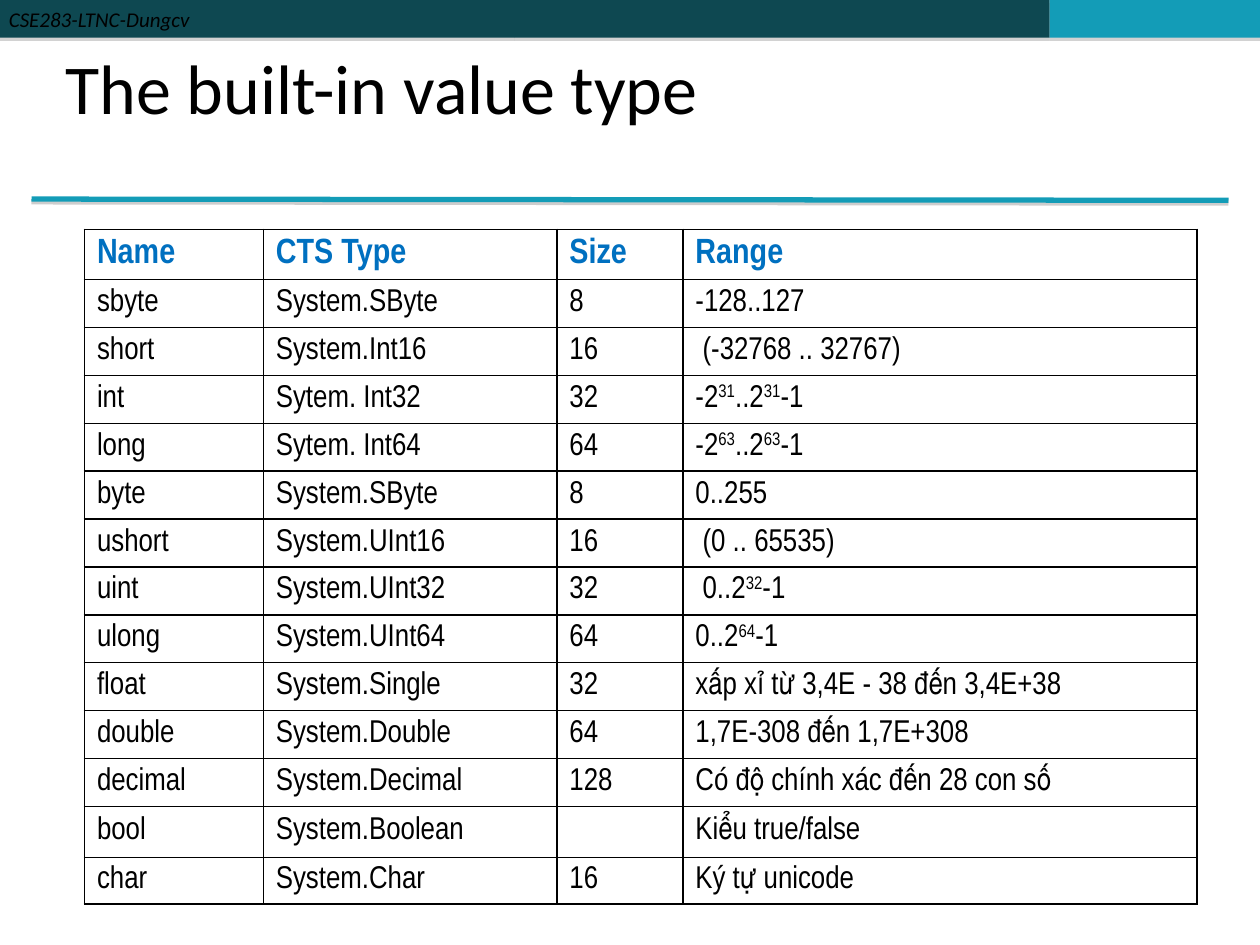
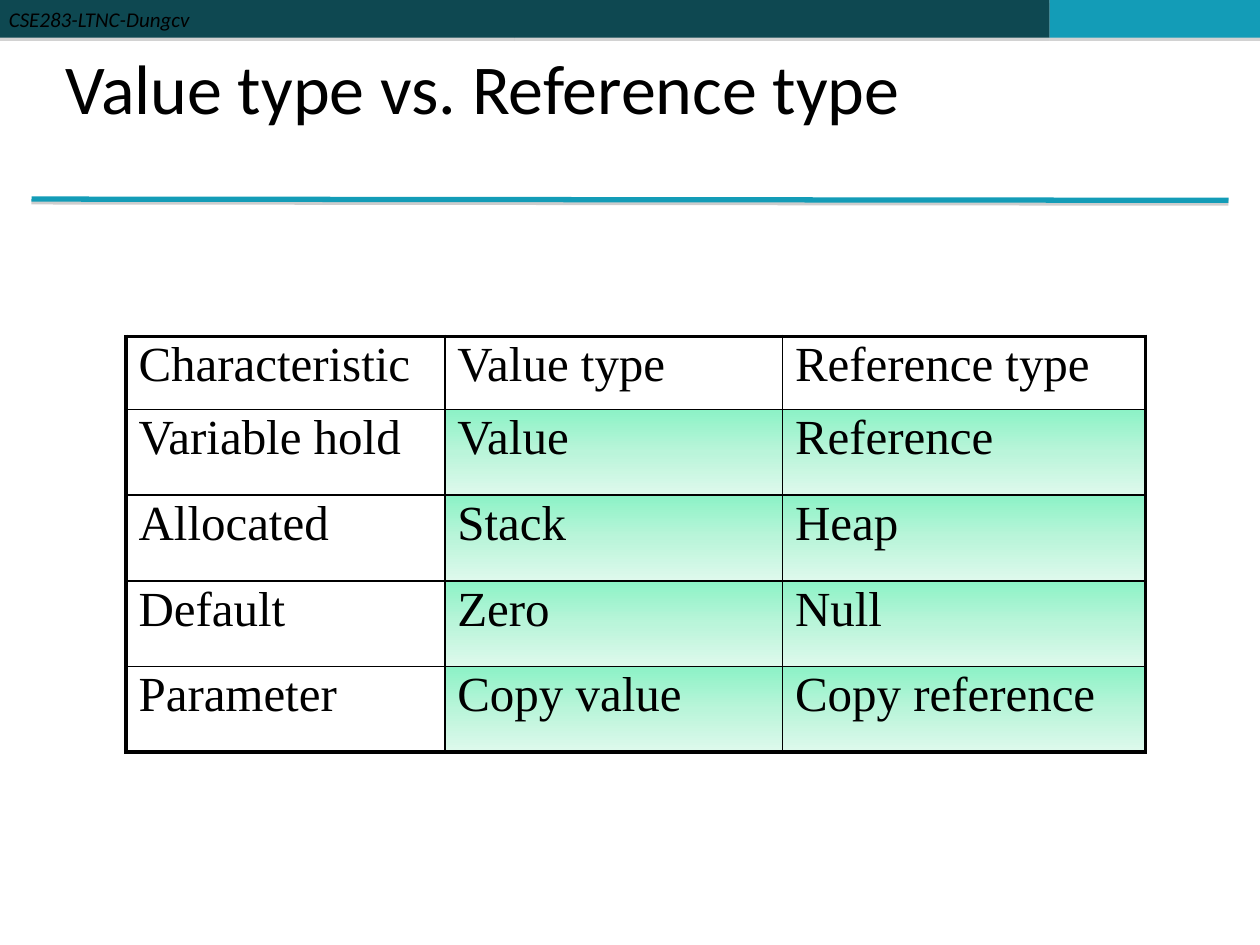
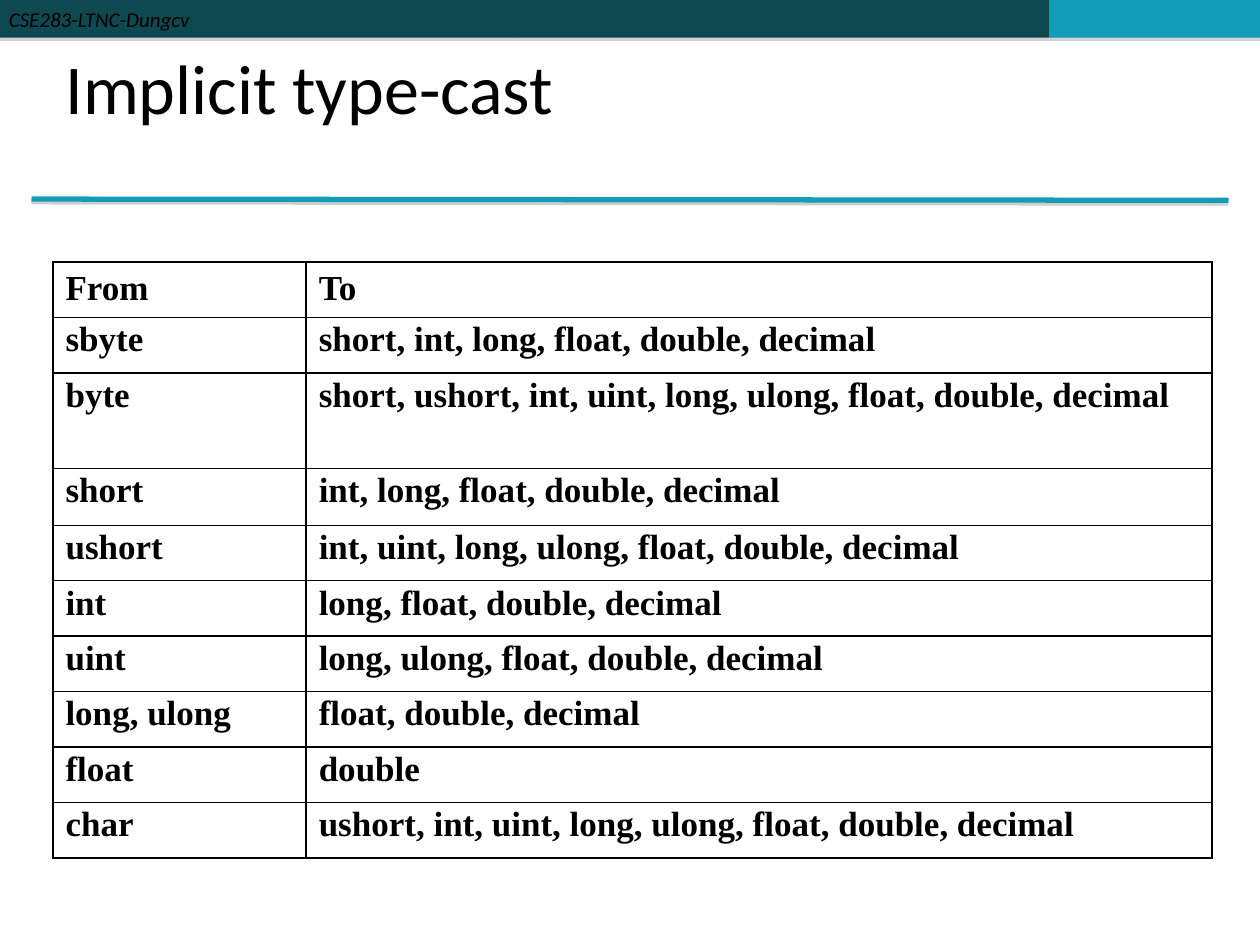
from pptx import Presentation
from pptx.dml.color import RGBColor
from pptx.enum.shapes import MSO_CONNECTOR, MSO_SHAPE
from pptx.enum.text import MSO_ANCHOR, MSO_AUTO_SIZE, PP_ALIGN
from pptx.oxml import parse_xml
from pptx.oxml.ns import nsdecls
from pptx.util import Inches, Pt

BLACK = RGBColor(0x00, 0x00, 0x00)
DARK_TEAL = RGBColor(0x0E, 0x48, 0x51)
TEAL = RGBColor(0x13, 0x9C, 0xB7)
GREY = RGBColor(0x80, 0x80, 0x80)
BLUE = RGBColor(0x00, 0x70, 0xC0)
GREENS = [(0, RGBColor(0x8C, 0xF2, 0xC6)), (50, RGBColor(0xBA, 0xF5, 0xDA)),
          (100, RGBColor(0xDE, 0xF9, 0xEC))]

COURSE = "CSE283-LTNC-Dungcv"
BANDS = [(4.08, DARK_TEAL, COURSE), (4.25, DARK_TEAL, ""), (1.67, TEAL, "")]
BAND_HEIGHT = 0.3

VALUE_TYPES = [
    ("Name", "CTS Type", "Size", "Range"),
    ("sbyte", "System.SByte", "8", "-128..127"),
    ("short", "System.Int16", "16", " (-32768 .. 32767)"),
    ("int", "Sytem. Int32", "32", "-2^31^..2^31^-1"),
    ("long", "Sytem. Int64", "64", "-2^63^..2^63^-1"),
    ("byte", "System.SByte", "8", "0..255"),
    ("ushort", "System.UInt16", "16", " (0 .. 65535)"),
    ("uint", "System.UInt32", "32", " 0..2^32^-1"),
    ("ulong", "System.UInt64", "64", "0..2^64^-1"),
    ("float", "System.Single", "32", "xấp xỉ từ 3,4E - 38 đến 3,4E+38"),
    ("double", "System.Double", "64", "1,7E-308 đến 1,7E+308"),
    ("decimal", "System.Decimal", "128", "Có độ chính xác đến 28 con số"),
    ("bool", "System.Boolean", "", "Kiểu true/false"),
    ("char", "System.Char", "16", "Ký tự unicode"),
]
COMPARISON = [
    ("Characteristic", "Value type", "Reference type"),
    ("Variable hold", "Value", "Reference"),
    ("Allocated", "Stack", "Heap"),
    ("Default", "Zero", "Null"),
    ("Parameter", "Copy value", "Copy reference"),
]
CASTS = [
    ("From", "To"),
    ("sbyte", "short, int, long, float, double, decimal"),
    ("byte", "short, ushort, int, uint, long, ulong, float, double, decimal"),
    ("short", "int, long, float, double, decimal"),
    ("ushort", "int, uint, long, ulong, float, double, decimal"),
    ("int", "long, float, double, decimal"),
    ("uint", "long, ulong, float, double, decimal"),
    ("long, ulong", "float, double, decimal"),
    ("float", "double"),
    ("char", "ushort, int, uint, long, ulong, float, double, decimal"),
]

SLIDES = [
    dict(title="The built-in value type", rows=VALUE_TYPES, at=(0.67, 1.82),
         widths=[1.42, 2.33, 1, 4.08], heights=[0.4] + [0.38] * 12 + [0.37],
         font="Arial Narrow", size=18, header=dict(size=20, color=BLUE, bold=True),
         anchor=MSO_ANCHOR.MIDDLE),
    dict(title="Value type vs. Reference type", rows=COMPARISON, at=(1, 2.67),
         widths=[2.53, 2.68, 2.88], heights=[0.58] + [0.68] * 4,
         font="Times New Roman", size=28, outer=2.25, shaded=True),
    dict(title="Implicit type-cast", rows=CASTS, at=(0.42, 2.08),
         widths=[2.01, 7.19], heights=[0.44] * 2 + [0.76, 0.45] + [0.44] * 6,
         font="Times New Roman", size=20, bold=True, hanging=0.51, before=0,
         header=dict(anchor=MSO_ANCHOR.MIDDLE)),
]


def set_shadow(sp, alpha, dist):
    sp._element.spPr.append(parse_xml(
        f'<a:effectLst {nsdecls("a")}><a:outerShdw blurRad="0" dist="{Pt(dist)}" dir="5400000" '
        f'rotWithShape="0"><a:srgbClr val="{GREY}"><a:alpha val="{alpha * 1000}"/>'
        '</a:srgbClr></a:outerShdw></a:effectLst>'))


def add_run(p, text, font, size, color=BLACK, bold=False, italic=False):
    r = p.add_run()
    r.text = text
    r.font.name, r.font.size = font, Pt(size)
    r.font.bold, r.font.italic = bold, italic
    r.font.color.rgb = color
    return r


def add_bands(slide):
    left = 0
    for width, color, text in BANDS:
        sp = slide.shapes.add_shape(MSO_SHAPE.RECTANGLE, Inches(left), 0,
                                    Inches(width), Inches(BAND_HEIGHT))
        sp.fill.solid()
        sp.fill.fore_color.rgb = color
        sp.line.fill.background()
        set_shadow(sp, 35, 1.8)
        if text:
            tf = sp.text_frame
            tf.margin_left = tf.margin_right = Inches(0.07)
            tf.margin_top = tf.margin_bottom = Inches(0.04)
            tf.vertical_anchor = MSO_ANCHOR.MIDDLE
            p = tf.paragraphs[0]
            p.alignment = PP_ALIGN.LEFT
            add_run(p, text, "Calibri", 12, italic=True)
        left += width
    rule = slide.shapes.add_connector(MSO_CONNECTOR.STRAIGHT, Inches(0.25), Inches(1.58),
                                      Inches(9.75), Inches(1.59))
    rule.line.color.rgb = TEAL
    rule.line.width = Pt(3)
    set_shadow(rule, 38, 1.6)


def move_to_layout(slide, layout):
    for ph in list(layout.placeholders)[1:]:
        layout.shapes.element.remove(ph.element)
    for sp in list(slide.shapes):
        if not sp.is_placeholder:
            layout.shapes.element.append(sp.element)


def add_title(slide, text):
    sp = slide.shapes.title
    sp.left, sp.top, sp.width, sp.height = map(Inches, (0.42, 0.25, 9.17, 0.82))
    tf = sp.text_frame
    tf.word_wrap = True
    tf.auto_size = MSO_AUTO_SIZE.NONE
    tf.vertical_anchor = MSO_ANCHOR.BOTTOM
    p = tf.paragraphs[0]
    p.alignment = PP_ALIGN.LEFT
    add_run(p, text, "Calibri", 40)


def set_borders(cell, widths):
    tcPr = cell._tc.get_or_add_tcPr()
    for i, (side, width) in enumerate(zip("LRTB", widths)):
        tcPr.insert(i, parse_xml(
            f'<a:ln{side} {nsdecls("a")} w="{Pt(width)}"><a:solidFill>'
            f'<a:srgbClr val="{BLACK}"/></a:solidFill></a:ln{side}>'))


def shade(cell):
    stops = "".join(f'<a:gs pos="{pos * 1000}"><a:srgbClr val="{color}"/></a:gs>'
                    for pos, color in GREENS)
    cell._tc.get_or_add_tcPr().append(parse_xml(
        f'<a:gradFill {nsdecls("a")}><a:gsLst>{stops}</a:gsLst>'
        '<a:lin ang="5400000" scaled="0"/></a:gradFill>'))


def fill_cell(cell, text, font, size, color=BLACK, bold=False, anchor=MSO_ANCHOR.TOP,
              hanging=0, before=30):
    cell.vertical_anchor = anchor
    p = cell.text_frame.paragraphs[0]
    p.line_spacing = 0.9
    pPr = p._p.get_or_add_pPr()
    if before:
        pPr.append(parse_xml(f'<a:spcBef {nsdecls("a")}>'
                             f'<a:spcPct val="{before * 1000}"/></a:spcBef>'))
    if hanging:
        pPr.set("marL", str(Inches(hanging)))
        pPr.set("indent", str(-Inches(hanging)))
    for i, part in enumerate(text.split("^")):
        if part:
            r = add_run(p, part, font, size, color, bold)
            if i % 2:
                r._r.get_or_add_rPr().set("baseline", "30000")


def add_grid(slide, rows, at, widths, heights, header=None, outer=1, shaded=False, **style):
    left, top = at
    last_row, last_col = len(rows) - 1, len(widths) - 1
    table = slide.shapes.add_table(len(rows), len(widths), Inches(left), Inches(top),
                                   Inches(sum(widths)), Inches(sum(heights))).table
    table.first_row = table.horz_banding = False
    for column, width in zip(table.columns, widths):
        column.width = Inches(width)
    for row, height in zip(table.rows, heights):
        row.height = Inches(height)
    for i, texts in enumerate(rows):
        look = {**style, **(header or {})} if i == 0 else style
        for j, text in enumerate(texts):
            cell = table.cell(i, j)
            fill_cell(cell, text, **look)
            if shaded and i and j:
                shade(cell)
            else:
                cell.fill.background()
            edges = (j == 0, j == last_col, i == 0, i == last_row)
            set_borders(cell, [outer if edge else 1 for edge in edges])


def main():
    prs = Presentation()
    prs.slide_width, prs.slide_height = Inches(10), Inches(7.5)
    layout = prs.slide_layouts[5]
    for n, content in enumerate(SLIDES):
        slide = prs.slides.add_slide(layout)
        if n == 0:
            add_bands(slide)
            move_to_layout(slide, layout)
        grid = dict(content)
        add_title(slide, grid.pop("title"))
        add_grid(slide, **grid)
    prs.save("out.pptx")


if __name__ == "__main__":
    main()
